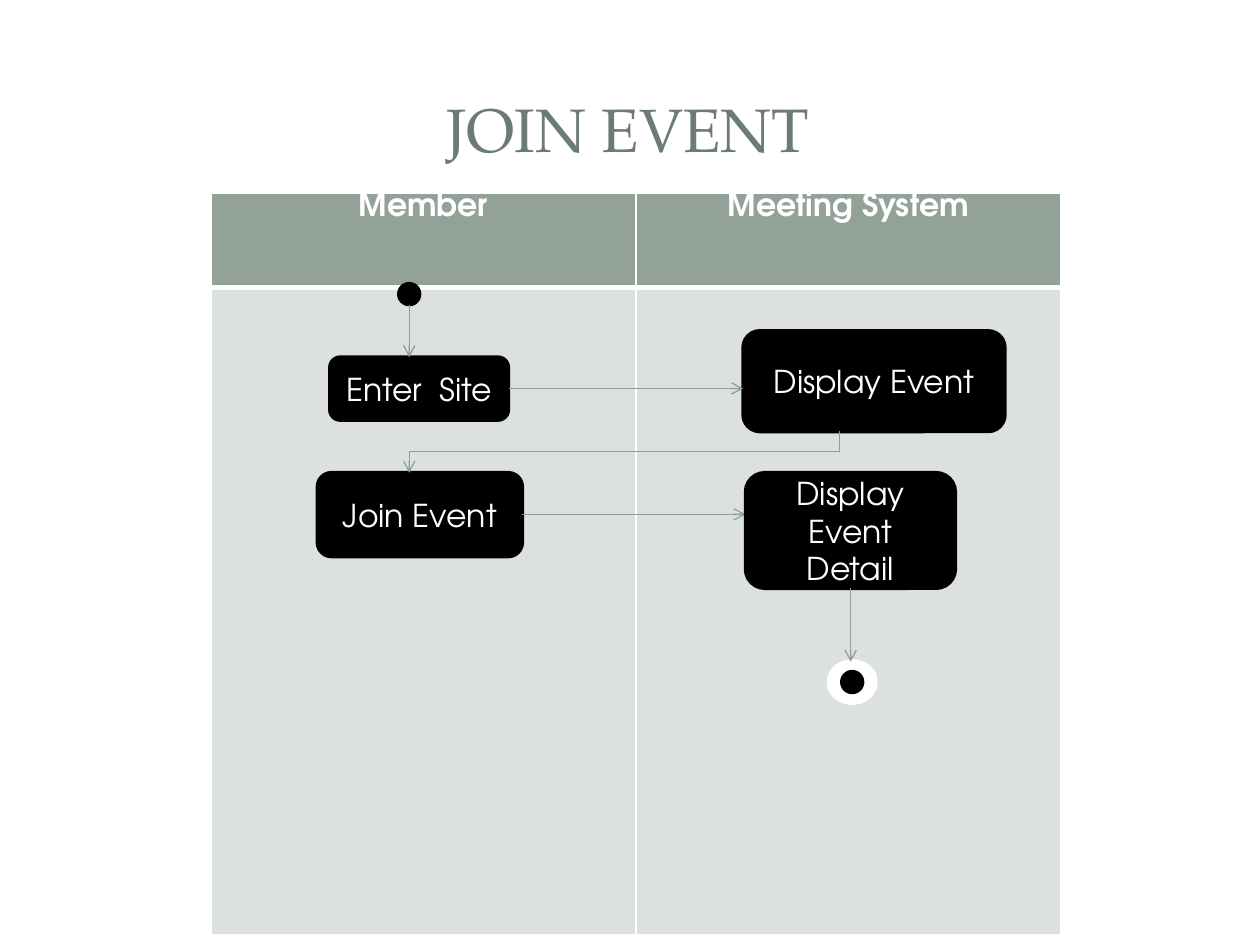
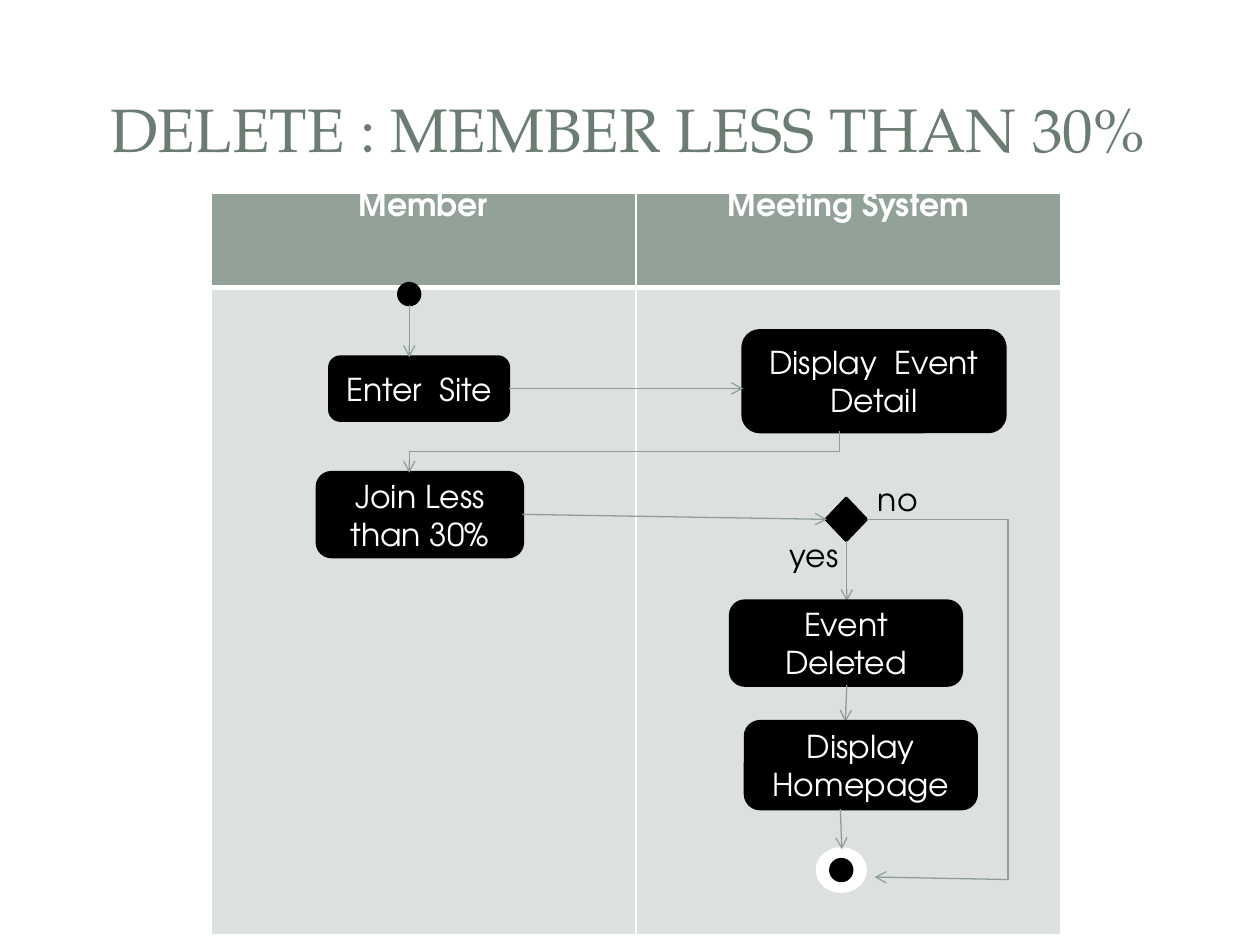
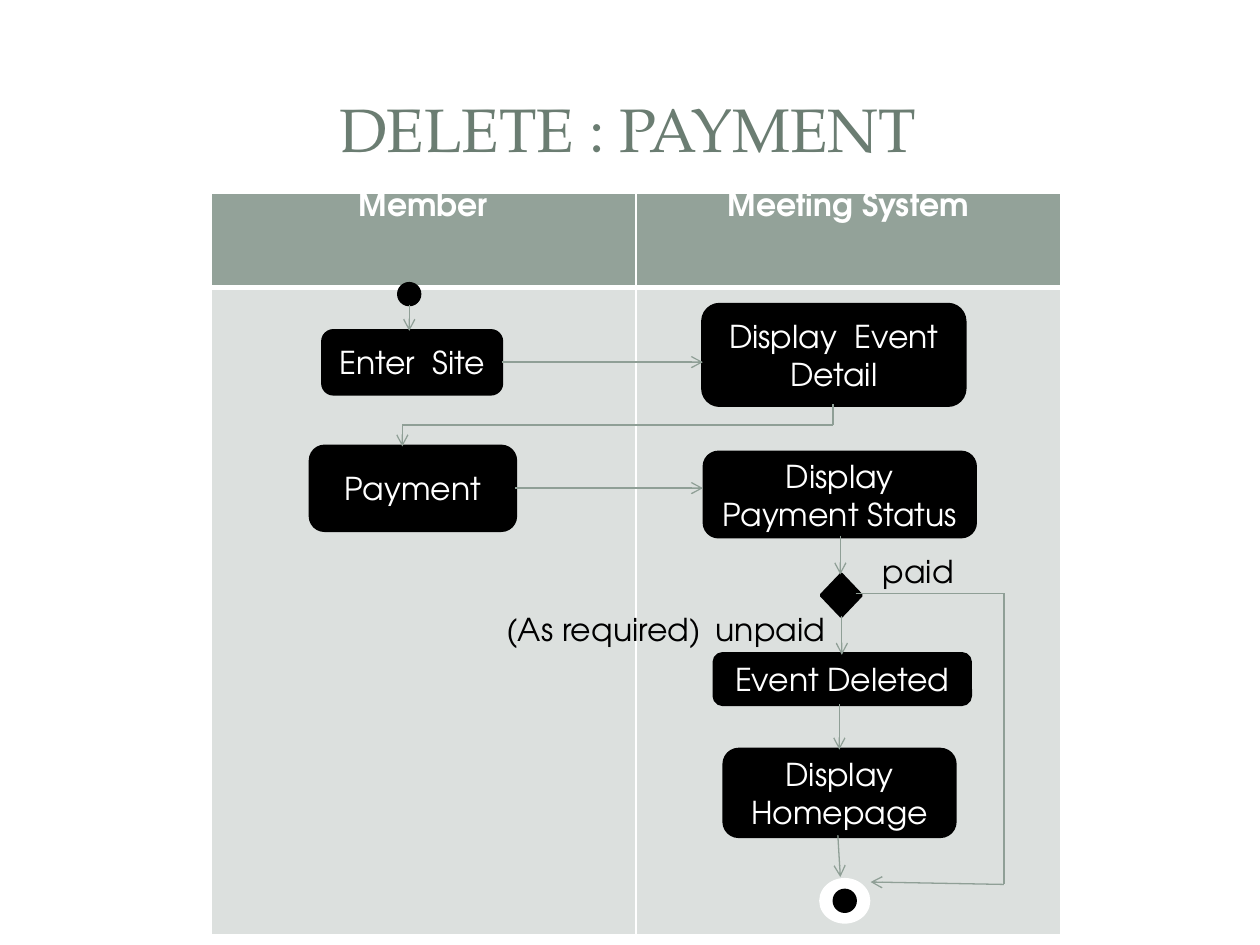
import pptx
import pptx.util
import pptx.dml.color
import pptx.enum.shapes
import pptx.enum.text
import pptx.oxml.ns
import lxml.etree

Cm = pptx.util.Cm
Pt = pptx.util.Pt
RGBColor = pptx.dml.color.RGBColor
SHAPE = pptx.enum.shapes.MSO_SHAPE
ALIGN = pptx.enum.text.PP_ALIGN
ANCHOR = pptx.enum.text.MSO_ANCHOR
qn = pptx.oxml.ns.qn

BLACK = RGBColor(0x00, 0x00, 0x00)
WHITE = RGBColor(0xFF, 0xFF, 0xFF)
TITLE = RGBColor(0x6B, 0x7D, 0x72)
HEADER = RGBColor(0x93, 0xA2, 0x99)
LANE = RGBColor(0xDC, 0xE0, 0xDE)
ARROW = RGBColor(0x8F, 0x9F, 0x96)

SERIF = "TeX Gyre Pagella"
SANS = "TeX Gyre Adventor"

LANES = ("Member", "Meeting System")
START_X, START_Y = 8.25, 5.93
DOT = 0.42


def write(frame, text, color, size=18, font=SANS, align=ALIGN.CENTER, bold=False):
    frame.word_wrap = True
    para = frame.paragraphs[0]
    para.alignment = align
    run = para.add_run()
    run.text = text
    run.font.name = font
    run.font.size = Pt(size)
    run.font.bold = bold
    run.font.color.rgb = color


def shape(slide, kind, left, top, width, height, color=BLACK):
    item = slide.shapes.add_shape(kind, Cm(left), Cm(top), Cm(width), Cm(height))
    item.shadow.inherit = False
    item.fill.solid()
    item.fill.fore_color.rgb = color
    item.line.color.rgb = color
    item.line.width = Pt(2)
    return item


def center(slide, kind, x, y, width, height, color=BLACK):
    return shape(slide, kind, x - width / 2, y - height / 2, width, height, color)


def step(slide, text, left, top, width, height):
    item = shape(slide, SHAPE.ROUNDED_RECTANGLE, left, top, width, height)
    item.text_frame.vertical_anchor = ANCHOR.MIDDLE
    write(item.text_frame, text, WHITE)


def label(slide, text, left, top, width):
    box = slide.shapes.add_textbox(Cm(left), Cm(top), Cm(width), Cm(1.02))
    write(box.text_frame, text, BLACK, align=ALIGN.LEFT)


def choice(slide, x, y):
    center(slide, SHAPE.FLOWCHART_DECISION, x, y, 0.8, 0.84)


def start(slide):
    center(slide, SHAPE.OVAL, START_X, START_Y, DOT, DOT)


def finish(slide, x, y):
    center(slide, SHAPE.OVAL, x, y, 0.96, 0.85, WHITE)
    center(slide, SHAPE.OVAL, x, y, DOT, DOT)


def flow(slide, *points):
    for (x1, y1), (x2, y2) in zip(points, points[1:]):
        line = slide.shapes.add_connector(
            pptx.enum.shapes.MSO_CONNECTOR.STRAIGHT, Cm(x1), Cm(y1), Cm(x2), Cm(y2))
        line.line.color.rgb = ARROW
        line.line.width = Pt(0.75)
        props = line._element.spPr
        lxml.etree.SubElement(props, qn("a:effectLst"))
    lxml.etree.SubElement(props.find(qn("a:ln")), qn("a:tailEnd"), type="arrow")


def border(cell, base):
    props = cell._tc.get_or_add_tcPr()
    for side, width in (("L", 1), ("R", 1), ("T", 1), ("B", base)):
        edge = lxml.etree.SubElement(props, qn("a:ln" + side), w=str(Pt(width)))
        fill = lxml.etree.SubElement(edge, qn("a:solidFill"))
        lxml.etree.SubElement(fill, qn("a:srgbClr"), val=str(WHITE))


def lanes(slide):
    table = slide.shapes.add_table(
        2, 2, Cm(4.25), Cm(3.89), Cm(17.14), Cm(14.95)).table
    table.horz_banding = False
    for row, height, color, base in zip(
            table.rows, (1.9, 13.05), (HEADER, LANE), (3, 1)):
        row.height = Cm(height)
        for cell in row.cells:
            border(cell, base)
            cell.fill.solid()
            cell.fill.fore_color.rgb = color
    for cell, name in zip(table.rows[0].cells, LANES):
        cell.margin_top = Cm(0)
        write(cell.text_frame, name, WHITE, bold=True)


def canvas(deck, title):
    slide = deck.slides.add_slide(deck.slide_layouts[6])
    box = slide.shapes.add_textbox(Cm(1.19), Cm(1.14), Cm(22.94), Cm(2.9))
    box.text_frame.vertical_anchor = ANCHOR.MIDDLE
    write(box.text_frame, title, TITLE, size=35, font=SERIF)
    lanes(slide)
    start(slide)
    return slide


def visit(slide, reply, action, edge=14.98, dx=0, dy=0):
    step(slide, "Enter  Site", 6.65 + dx, 7.2 + dy, 3.6, 1.27)
    step(slide, reply, edge, 6.67 + dy, 5.28, 2.03)
    step(slide, action, 6.4 + dx, 9.53 + dy, 4.13, 1.69)
    flow(slide, (START_X, 6.14), (START_X, 7.2 + dy))
    flow(slide, (10.26 + dx, 7.83 + dy), (edge, 7.83 + dy))
    right, left, turn = 16.93 + dx, 8.25 + dx, 9.1 + dy
    flow(slide, (right, 8.68 + dy), (right, turn), (left, turn), (left, 9.53 + dy))


def join(deck):
    slide = canvas(deck, "JOIN EVENT")
    visit(slide, "Display Event", "Join Event")
    flow(slide, (10.53, 10.37), (15.03, 10.37))
    step(slide, "Display Event Detail", 15.03, 9.53, 4.23, 2.33)
    finish(slide, 17.18, 13.75)
    flow(slide, (17.15, 11.86), (17.15, 13.34))


def members(deck):
    slide = canvas(deck, "DELETE : MEMBER LESS THAN 30%")
    visit(slide, "Display  Event Detail", "Join Less than 30%")
    finish(slide, 16.96, 17.54)
    choice(slide, 17.06, 10.47)
    flow(slide, (10.53, 10.37), (16.67, 10.47))
    flow(slide, (17.47, 10.47), (20.32, 10.47), (20.32, 17.73), (17.63, 17.68))
    flow(slide, (17.07, 10.9), (17.07, 12.12))
    label(slide, "no", 17.45, 9.55, 1.37)
    label(slide, "yes", 15.67, 10.69, 1.7)
    step(slide, "Event Deleted", 14.73, 12.12, 4.65, 1.69)
    flow(slide, (17.07, 13.81), (17.04, 14.55))
    step(slide, "Display Homepage", 15.03, 14.55, 4.65, 1.75)
    flow(slide, (16.94, 16.31), (16.97, 17.12))


def payment(deck):
    slide = canvas(deck, "DELETE : PAYMENT")
    visit(slide, "Display  Event Detail", "Payment", edge=14.17, dx=-0.14, dy=-0.53)
    finish(slide, 17.03, 18.16)
    step(slide, "Display Payment Status", 14.2, 9.12, 5.46, 1.7)
    flow(slide, (10.39, 9.84), (14.17, 9.84))
    choice(slide, 16.96, 12)
    flow(slide, (16.94, 10.8), (16.94, 11.58))
    flow(slide, (17.25, 11.96), (20.24, 11.96), (20.24, 17.83), (17.55, 17.78))
    label(slide, "paid", 17.55, 11, 2.54)
    label(slide, "unpaid", 14.17, 12.17, 4.34)
    label(slide, "(As required)", 9.96, 12.17, 4.88)
    step(slide, "Event Deleted", 14.4, 13.18, 5.16, 1.02)
    flow(slide, (16.97, 12.42), (16.97, 13.2))
    step(slide, "Display Homepage", 14.6, 15.11, 4.65, 1.75)
    flow(slide, (16.92, 14.2), (16.92, 15.11))
    flow(slide, (16.89, 16.84), (16.94, 17.68))


def main():
    deck = pptx.Presentation()
    deck.slide_width = Cm(25.4)
    deck.slide_height = Cm(19.05)
    join(deck)
    members(deck)
    payment(deck)
    deck.save("out.pptx")


main()
